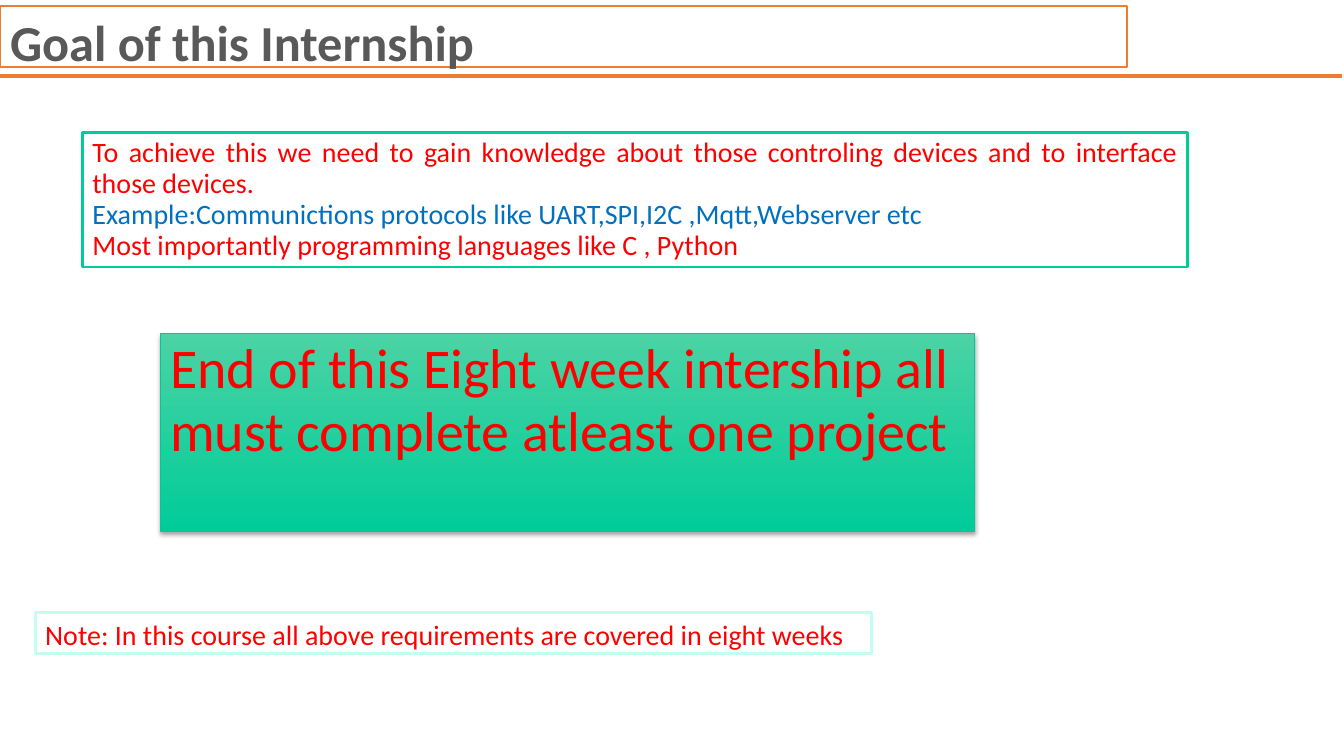
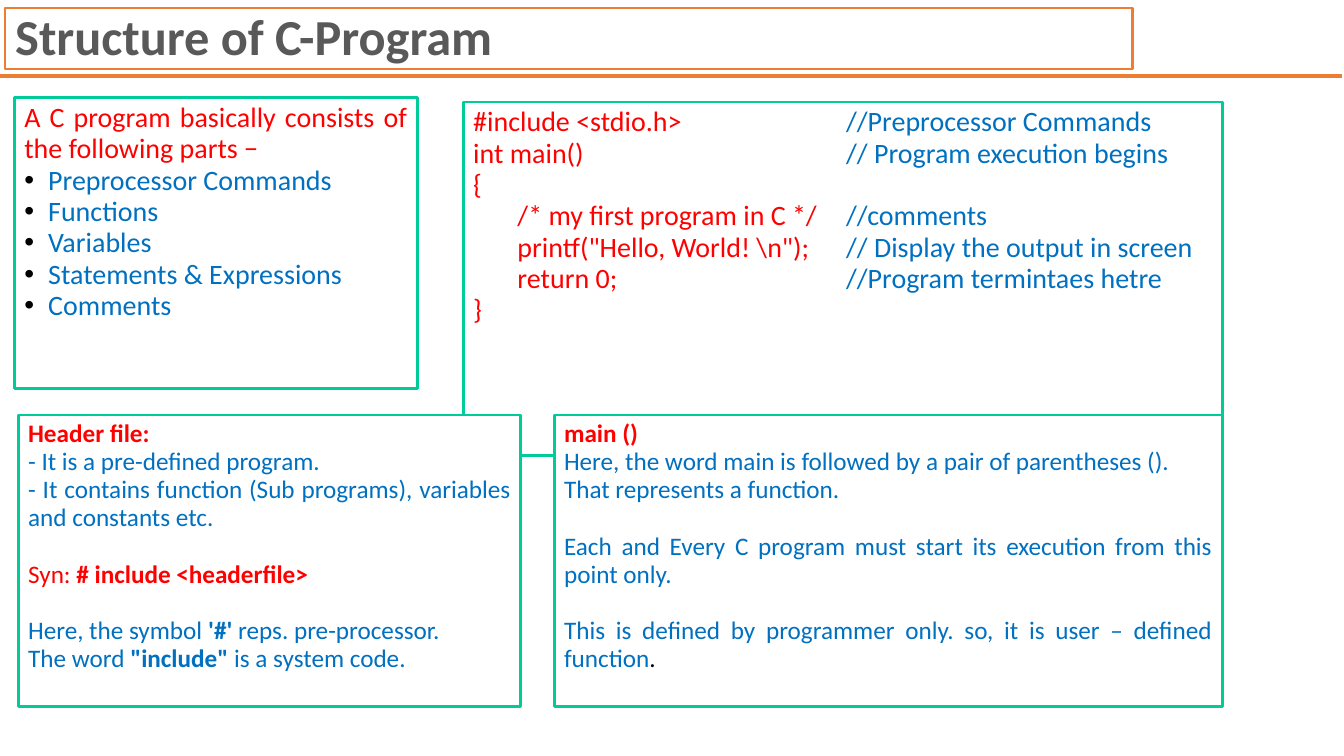
"""Build two internship slides: the goal and the structure of a C program."""
import dataclasses

import lxml.etree
import pptx
import pptx.dml.color
import pptx.enum.shapes
import pptx.enum.text
import pptx.oxml.ns
import pptx.util

Cm, Pt = pptx.util.Cm, pptx.util.Pt
RGB = pptx.dml.color.RGBColor.from_string
ALIGN = pptx.enum.text.PP_ALIGN
ANCHOR = pptx.enum.text.MSO_ANCHOR
RECT = pptx.enum.shapes.MSO_SHAPE.RECTANGLE
qn = pptx.oxml.ns.qn


@dataclasses.dataclass(frozen=True)
class Theme:
    font: str = "Calibri"
    title: str = "595959"
    accent: str = "ED7D31"
    border: str = "00CC99"
    pale: str = "C2FFF0"
    grad_top: str = "4BD3A4"
    grad_line: str = "00C896"
    red: str = "FF0000"
    blue: str = "0070C0"
    black: str = "000000"
    white: str = "FFFFFF"
    title_size: int = 36
    banner_size: int = 40
    text_size: int = 20
    small_size: int = 18
    spacing: float = 0.93


T = Theme()


def frame(sp, box, line, width, fill=None):
    sp.left, sp.top, sp.width, sp.height = map(Cm, box)
    sp.line.color.rgb = RGB(line)
    sp.line.width = Pt(width)
    if fill:
        sp.fill.solid()
        sp.fill.fore_color.rgb = RGB(fill)
    tf = sp.text_frame
    tf.word_wrap = True
    tf.auto_size = pptx.enum.text.MSO_AUTO_SIZE.NONE
    tf.vertical_anchor = ANCHOR.TOP
    return tf


def write(tf, paragraphs, size, align=ALIGN.JUSTIFY, spacing=T.spacing, gaps=()):
    for i, runs in enumerate(paragraphs):
        p = tf.add_paragraph() if i else tf.paragraphs[0]
        p.alignment = align
        p.line_spacing = spacing
        p.space_before = Pt(size * 1.12 if i in gaps else 0)
        for text, colour, *bold in runs:
            r = p.add_run()
            r.text = text
            r.font.name = T.font
            r.font.size = Pt(size)
            r.font.bold = bool(bold)
            r.font.color.rgb = RGB(colour)


prs = pptx.Presentation()
prs.slide_width, prs.slide_height = Cm(33.88), Cm(19.05)

TITLES = [
    ("Goal of this Internship", 5, (0, 0.15), ANCHOR.TOP, 1.0),
    ("Structure of C-Program", 1, (0.13, 0.2), ANCHOR.MIDDLE, T.spacing),
]
slides = []
for text, layout, corner, anchor, spacing in TITLES:
    s = prs.slides.add_slide(prs.slide_layouts[layout])
    tf = frame(s.shapes.title, (*corner, 28.42, 1.55), T.accent, 1.5)
    tf.vertical_anchor = anchor
    write(tf, [[(text, T.title, True)]], T.title_size, ALIGN.LEFT, spacing)
    slides.append(s)
goal, structure = slides

rule = goal.shapes.add_connector(
    pptx.enum.shapes.MSO_CONNECTOR.STRAIGHT, 0, Cm(1.92), Cm(33.83), Cm(1.92))
rule.line.color.rgb = RGB(T.accent)
rule.line.width = Pt(3)
lxml.etree.SubElement(rule.element.spPr, qn("a:effectLst"))
prs.slide_master.shapes.element.append(rule.element)

KNOWLEDGE = [
    [("To achieve this we need to gain knowledge about those controling devices "
      "and to interface those devices.", T.red)],
    [("Example:Communictions protocols like UART,SPI,I2C ,Mqtt,Webserver etc", T.blue)],
    [("Most importantly programming languages like C , Python", T.red)],
]
BANNER = [[("End of this Eight week intership all must complete atleast one project", T.red)]]
NOTE = [[("Note: In this course all above requirements are covered in eight weeks", T.red)]]
CODE = [
    [("#include <stdio.h>\t", T.red), ("//Preprocessor Commands", T.blue)],
    [("int main()\t", T.red), ("// Program execution begins", T.blue)],
    [("{", T.red)],
    [("       /* my first program in C */\t", T.red), ("//comments", T.blue)],
    [('       printf("Hello, World! \\n");\t', T.red),
     ("// Display the output in screen", T.blue)],
    [("       return 0;\t", T.red), ("//Program termintaes hetre", T.blue)],
    [("}", T.red)],
]
HEADER_FILE = [
    [("Header file:", T.red, True)],
    [("- It is a pre-defined program.", T.blue)],
    [("- It contains function (Sub programs), variables and constants etc.", T.blue)],
    [("Syn: ", T.red), ("# include <headerfile>", T.red, True)],
    [("Here, the symbol ", T.blue), ("'#'", T.blue, True),
     (" reps. pre-processor.", T.blue)],
    [("The word ", T.blue), ('"include"', T.blue, True), (" is a system code.", T.blue)],
]
MAIN = [
    [("main ()", T.red, True)],
    [("Here, the word main is followed by a pair of parentheses ().", T.blue)],
    [("That represents a function.", T.blue)],
    [("Each and Every C program must start its execution from this point only.", T.blue)],
    [("This is defined by programmer only. so, it is user – defined function", T.blue),
     (".", T.black)],
]

PANELS = [
    (goal, (2.08, 3.33, 27.86, 3.4), T.border, KNOWLEDGE, T.text_size, ALIGN.JUSTIFY, T.spacing, ()),
    (goal, (0.89, 15.44, 21.08, 1.02), T.pale, NOTE, T.text_size, ALIGN.LEFT, 1.0, ()),
    (structure, (11.68, 2.57, 19.13, 8.92), T.border, CODE, T.text_size, ALIGN.LEFT, T.spacing, ()),
    (structure, (0.46, 10.46, 12.67, 7.34), T.border, HEADER_FILE, T.small_size,
     ALIGN.JUSTIFY, T.spacing, (3, 4)),
    (structure, (13.97, 10.46, 16.84, 7.34), T.border, MAIN, T.small_size,
     ALIGN.JUSTIFY, T.spacing, (3, 4)),
]
for s, box, line, paragraphs, size, align, spacing, gaps in PANELS:
    sp = s.shapes.add_shape(RECT, 0, 0, 0, 0)
    sp.shadow.inherit = False
    tf = frame(sp, box, line, 2, T.white)
    write(tf, paragraphs, size, align, spacing, gaps)
    if paragraphs is CODE:
        for p in tf.paragraphs:
            tabs = lxml.etree.SubElement(p._p.get_or_add_pPr(), qn("a:tabLst"))
            lxml.etree.SubElement(tabs, qn("a:tab"), pos=str(Cm(9.4)), algn="l")

banner = goal.shapes.add_shape(RECT, 0, 0, 0, 0)
tf = frame(banner, (4.04, 8.41, 20.52, 4.98), T.grad_line, 0.75)
write(tf, BANNER, T.banner_size, ALIGN.LEFT)
banner.fill.gradient()
banner.fill.gradient_angle = 270
for stop, colour in zip(banner.fill.gradient_stops, (T.grad_top, T.border)):
    stop.color.rgb = RGB(colour)
banner.shadow.inherit = False
shadow = lxml.etree.SubElement(
    banner.element.spPr.find(qn("a:effectLst")), qn("a:outerShdw"),
    blurRad=str(Pt(3.1)), dist=str(Pt(1.8)), dir="5400000", rotWithShape="0")
colour = lxml.etree.SubElement(shadow, qn("a:srgbClr"), val=T.black)
lxml.etree.SubElement(colour, qn("a:alpha"), val="35000")

PARTS = ["Preprocessor Commands", "Functions", "Variables",
         "Statements & Expressions", "Comments"]
intro = [("A C program basically consists of the following parts −", T.red)]
tf = frame(structure.placeholders[1], (0.36, 2.46, 10.16, 7.34), T.border, 2, T.white)
write(tf, [intro] + [[(part, T.blue)] for part in PARTS], T.text_size)
for i, p in enumerate(tf.paragraphs):
    pPr = p._p.get_or_add_pPr()
    indent = Cm(0.6) if i else 0
    pPr.set("marL", str(indent))
    pPr.set("indent", str(-indent))
    if i:
        p.alignment = ALIGN.LEFT
        bullet = lxml.etree.SubElement(pPr, qn("a:buClr"))
        lxml.etree.SubElement(bullet, qn("a:srgbClr"), val=T.black)
        lxml.etree.SubElement(pPr, qn("a:buFont"), typeface="Arial")
        lxml.etree.SubElement(pPr, qn("a:buChar"), char="•")
    else:
        lxml.etree.SubElement(pPr, qn("a:buNone"))

prs.save("out.pptx")
